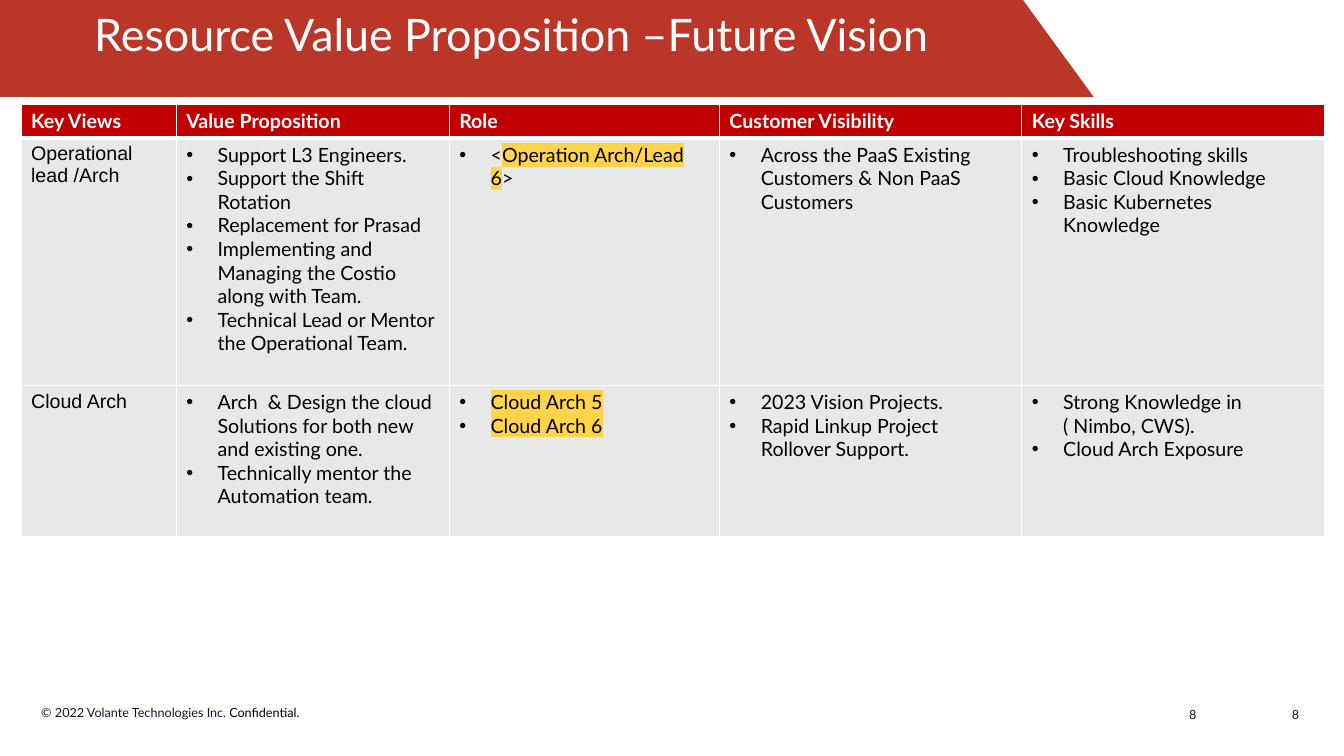
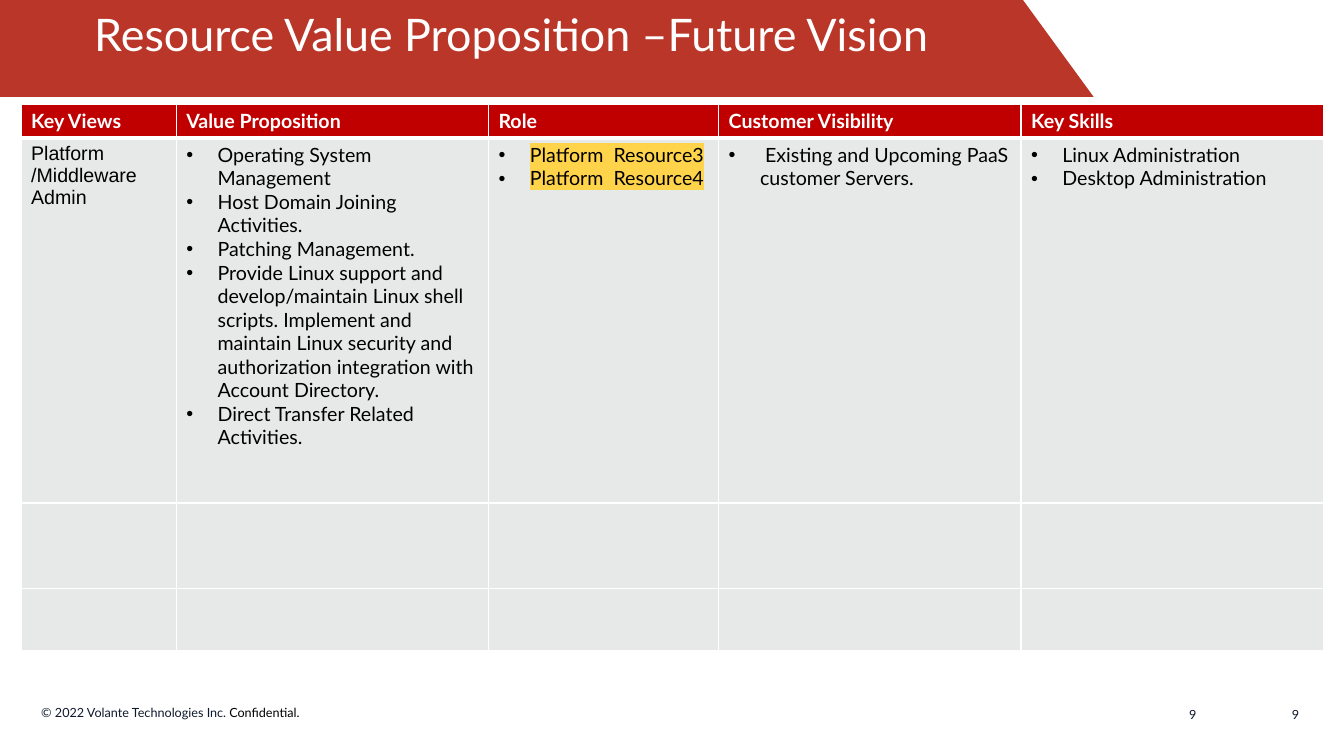
from dataclasses import dataclass

from lxml import etree
from pptx import Presentation
from pptx.dml.color import RGBColor
from pptx.enum.shapes import MSO_SHAPE
from pptx.enum.text import MSO_ANCHOR, MSO_AUTO_SIZE, PP_ALIGN
from pptx.oxml.ns import qn
from pptx.util import Cm, Pt

RIGHT_TRIANGLE = MSO_SHAPE.RIGHT_TRIANGLE
TOP, MIDDLE = MSO_ANCHOR.TOP, MSO_ANCHOR.MIDDLE
LEFT, CENTER, RIGHT = PP_ALIGN.LEFT, PP_ALIGN.CENTER, PP_ALIGN.RIGHT
NO_AUTO_SIZE = MSO_AUTO_SIZE.NONE


@dataclass(frozen=True)
class Theme:
    band: str = "B93629"
    header: str = "C00000"
    cell: str = "E7E8E8"
    highlight: str = "FFD44B"
    white: str = "FFFFFF"
    black: str = "000000"
    footer: str = "0F192B"
    font: str = "Lato"
    label_font: str = "Arial"
    title_size: int = 32
    table_size: int = 14
    footer_size: int = 9


class Marked(str):
    """Text shown with a highlight behind it."""


THEME = Theme()
TITLE = "Resource Value Proposition –Future Vision"
HEADINGS = ["Key Views", "Value Proposition", "Role", "Customer Visibility", "Key Skills"]
BAND_WIDTH, BAND_HEIGHT, SLANT_WIDTH = Cm(25.78), Cm(2.44), Cm(1.78)
BULLET_INDENT = Cm(0.79)
HEADER_HEIGHT = 0.8

# Each body row: label, then one tuple of bullets per column; a nested tuple holds runs.
SLIDES = [
    {
        "number": "8",
        "widths": [3.91, 6.88, 6.81, 7.62, 7.62],
        "heights": [6.23, 3.81],
        "rows": [
            ("Operational lead /Arch",
             ("Support L3 Engineers.",
              "Support the Shift Rotation",
              "Replacement for Prasad",
              "Implementing and Managing the Costio along with Team.",
              "Technical Lead or Mentor the Operational Team."),
             (("<", Marked("Operation Arch/Lead 6"), ">"),),
             ("Across the PaaS Existing Customers & Non PaaS Customers",),
             ("Troubleshooting skills",
              "Basic Cloud Knowledge",
              "Basic Kubernetes Knowledge")),
            ("Cloud Arch",
             ("Arch  & Design the cloud Solutions for both new and existing one.",
              "Technically mentor the Automation team."),
             (Marked("Cloud Arch 5"), Marked("Cloud Arch 6")),
             ("2023 Vision Projects.",
              "Rapid Linkup Project Rollover Support."),
             ("Strong Knowledge in ( Nimbo, CWS).",
              "Cloud Arch Exposure")),
        ],
    },
    {
        "number": "9",
        "widths": [3.91, 7.87, 5.8, 7.62, 7.62],
        "heights": [9.2, 2.15, 1.57],
        "rows": [
            ("Platform /Middleware Admin",
             ("Operating System Management",
              "Host Domain Joining Activities.",
              "Patching Management.",
              "Provide Linux support and develop/maintain Linux shell scripts. "
              "Implement and maintain Linux security and authorization "
              "integration with Account Directory.",
              "Direct Transfer Related Activities."),
             (Marked("Platform  Resource3"), Marked("Platform  Resource4")),
             (" Existing and Upcoming PaaS customer Servers.",),
             ("Linux Administration", "Desktop Administration")),
            ("", (), (), (), ()),
            ("", (), (), (), ()),
        ],
    },
]


def add_run(paragraph, text, size, color, font=THEME.font, bold=False):
    run = paragraph.add_run()
    run.text = text
    run.font.size = Pt(size)
    run.font.bold = bold
    run.font.color.rgb = RGBColor.from_string(color)
    if isinstance(text, Marked):
        highlight = etree.SubElement(run.font._element, qn("a:highlight"))
        etree.SubElement(highlight, qn("a:srgbClr"), val=THEME.highlight)
    run.font.name = font


def add_footer_text(slide, left, top, width, height, alignment, runs):
    """Add a one-line text box whose outer margin is zero on the aligned side."""
    box = slide.shapes.add_textbox(Cm(left), Cm(top), Cm(width), Cm(height))
    frame = box.text_frame
    frame.word_wrap = True
    frame.vertical_anchor = MIDDLE if alignment == RIGHT else TOP
    if alignment == RIGHT:
        frame.margin_right = 0
    else:
        frame.margin_left = 0
    paragraph = frame.paragraphs[0]
    paragraph.alignment = alignment
    for text, color in runs:
        add_run(paragraph, text, THEME.footer_size, color)


presentation = Presentation()
presentation.slide_width = Cm(33.87)
presentation.slide_height = Cm(19.05)
title_only = presentation.slide_layouts[5]

for content in SLIDES:
    slide = presentation.slides.add_slide(title_only)

    # Title band with its slanted end
    title = slide.shapes.title
    title.left, title.top, title.width, title.height = 0, 0, BAND_WIDTH, BAND_HEIGHT
    slant = slide.shapes.add_shape(RIGHT_TRIANGLE, BAND_WIDTH, 0, SLANT_WIDTH, BAND_HEIGHT)
    slant.shadow.inherit = False
    for shape in (title, slant):
        shape.fill.solid()
        shape.fill.fore_color.rgb = RGBColor.from_string(THEME.band)
        shape.line.fill.background()
    frame = title.text_frame
    frame.word_wrap = True
    frame.auto_size = NO_AUTO_SIZE
    frame.vertical_anchor = TOP
    frame.margin_top = Cm(0.16)
    paragraph = frame.paragraphs[0]
    paragraph.alignment = CENTER
    add_run(paragraph, TITLE, THEME.title_size, THEME.white)

    # Footer
    add_footer_text(slide, 1.04, 17.65, 12.32, 0.64, LEFT,
                    [("© 2022 Volante Technologies Inc. ", THEME.footer),
                     ("Confidential.", THEME.black)])
    for left in (25.12, 22.53):
        add_footer_text(slide, left, 17.5, 7.62, 1.02, RIGHT,
                        [(content["number"], THEME.footer)])

    # Table
    widths = content["widths"]
    heights = [HEADER_HEIGHT] + content["heights"]
    table = slide.shapes.add_table(
        len(heights), len(widths), Cm(0.53), Cm(2.63), Cm(sum(widths)), Cm(sum(heights))
    ).table
    for column, width in zip(table.columns, widths):
        column.width = Cm(width)
    for row, height in zip(table.rows, heights):
        row.height = Cm(height)

    for row_index, values in enumerate([HEADINGS] + content["rows"]):
        is_header = row_index == 0
        border_widths = {
            "a:lnL": 1,
            "a:lnR": 1,
            "a:lnT": 3 if row_index == 1 else 1,
            "a:lnB": 3 if is_header else 1,
        }
        for column_index, value in enumerate(values):
            cell = table.cell(row_index, column_index)
            properties = cell._tc.get_or_add_tcPr()
            for tag, points in border_widths.items():
                border = etree.SubElement(properties, qn(tag), w=str(Pt(points)))
                line_fill = etree.SubElement(border, qn("a:solidFill"))
                etree.SubElement(line_fill, qn("a:srgbClr"), val=THEME.white)
            cell.fill.solid()
            cell.fill.fore_color.rgb = RGBColor.from_string(
                THEME.header if is_header else THEME.cell)

            frame = cell.text_frame
            if is_header:
                add_run(frame.paragraphs[0], value, THEME.table_size, THEME.white, bold=True)
            elif column_index == 0:
                if value:
                    add_run(frame.paragraphs[0], value, THEME.table_size, THEME.black,
                            THEME.label_font)
            else:
                for bullet_index, bullet in enumerate(value):
                    paragraph = frame.add_paragraph() if bullet_index else frame.paragraphs[0]
                    paragraph_properties = paragraph._p.get_or_add_pPr()
                    paragraph_properties.set("marL", str(BULLET_INDENT))
                    paragraph_properties.set("indent", str(-BULLET_INDENT))
                    etree.SubElement(paragraph_properties, qn("a:buFont"),
                                     typeface=THEME.label_font)
                    etree.SubElement(paragraph_properties, qn("a:buChar"), char="•")
                    for text in bullet if isinstance(bullet, tuple) else (bullet,):
                        add_run(paragraph, text, THEME.table_size, THEME.black)

presentation.save("out.pptx")
